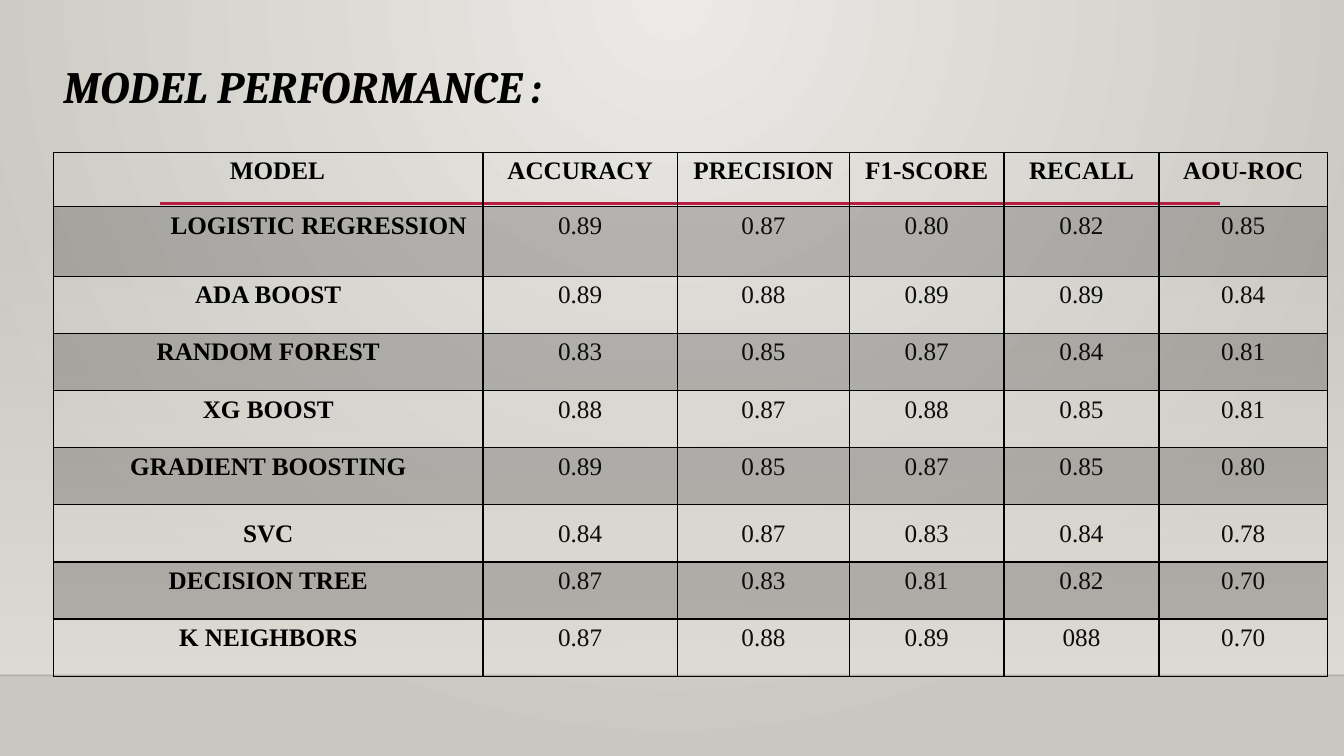
from lxml.etree import SubElement
from pptx import Presentation
from pptx.dml.color import RGBColor
from pptx.enum.shapes import MSO_CONNECTOR, MSO_SHAPE
from pptx.enum.text import MSO_ANCHOR, PP_ALIGN
from pptx.oxml import parse_xml
from pptx.oxml.ns import nsdecls, qn
from pptx.util import Cm, Pt

COLORS = {
    "black": "000000",
    "value": "0D0D0D",
    "accent": "B71E42",
    "floor_line": "000001",
    "glow": "ECEAE7",
    "edge": "CAC7C1",
    "wall": "DFDBD5",
}
FORMATS = {
    "title": {"name": "Cambria", "size": Pt(32), "bold": True, "italic": True},
    "label": {"name": "Times New Roman", "size": Pt(18), "bold": True},
    "value": {"name": "Times New Roman", "size": Pt(18), "bold": False},
}
SVC_CELL = {
    "vertical_anchor": MSO_ANCHOR.MIDDLE,
    "margin_left": Cm(0.03),
    "margin_top": Cm(0.03),
    "margin_right": Cm(0.03),
    "margin_bottom": Cm(0),
}
HEADER = ["MODEL", "ACCURACY", "PRECISION", "F1-SCORE", "RECALL", "AOU-ROC"]
SCORES = [
    ["LOGISTIC REGRESSION", "0.89", "0.87", "0.80", "0.82", "0.85"],
    ["ADA BOOST", "0.89", "0.88", "0.89", "0.89", "0.84"],
    ["RANDOM FOREST", "0.83", "0.85", "0.87", "0.84", "0.81"],
    ["XG BOOST", "0.88", "0.87", "0.88", "0.85", "0.81"],
    ["GRADIENT BOOSTING", "0.89", "0.85", "0.87", "0.85", "0.80"],
    ["SVC", "0.84", "0.87", "0.83", "0.84", "0.78"],
    ["DECISION TREE", "0.87", "0.83", "0.81", "0.82", "0.70"],
    ["K NEIGHBORS", "0.87", "0.88", "0.89", "088", "0.70"],
]
COLUMN_WIDTHS = [10.82, 4.9, 4.34, 3.89, 3.91, 4.24]
ROW_HEIGHTS = [1.37, 1.75] + [1.44] * 7
LABEL_INDENTS = {"MODEL": 0.46, "LOGISTIC REGRESSION": 2.54}


def color(name):
    return RGBColor.from_string(COLORS[name])


def set_attributes(target, values):
    for name, value in values.items():
        setattr(target, name, value)


def add_alpha(solid_fill, percent):
    SubElement(solid_fill[0], qn("a:alpha"), val=str(percent * 1000))


def replace_with_gradient(properties, stops, direction):
    stop_xml = "".join(
        f'<a:gs pos="{position * 1000}"><a:srgbClr val="{COLORS[name]}">'
        f'<a:alpha val="{alpha * 1000}"/></a:srgbClr></a:gs>'
        for position, name, alpha in stops
    )
    gradient = parse_xml(
        f'<a:gradFill {nsdecls("a")} rotWithShape="1">'
        f"<a:gsLst>{stop_xml}</a:gsLst>{direction}</a:gradFill>"
    )
    solid_fill = properties.find(qn("a:solidFill"))
    properties.replace(solid_fill, gradient)


def add_rule(slide, left, top, width, color_name, weight):
    rule = slide.shapes.add_connector(
        MSO_CONNECTOR.STRAIGHT, Cm(left), Cm(top), Cm(left + width), Cm(top)
    )
    rule.line.color.rgb = color(color_name)
    rule.line.width = Pt(weight)
    SubElement(rule._element.spPr, qn("a:effectLst"))
    return rule


def add_backdrop(slide, left, top, width, height):
    slide.background.fill.solid()
    replace_with_gradient(
        slide.element.find(".//" + qn("p:bgPr")),
        [(0, "glow", 100), (100, "edge", 100)],
        '<a:path path="circle"><a:fillToRect l="43000" t="0" r="43000" b="100000"/></a:path>',
    )
    wall = slide.shapes.add_shape(
        MSO_SHAPE.RECTANGLE, Cm(left), Cm(top), Cm(width), Cm(height)
    )
    wall.shadow.inherit = False
    wall.line.fill.background()
    wall.fill.solid()
    replace_with_gradient(
        wall._element.spPr,
        [(0, "wall", 0), (100, "wall", 100)],
        '<a:lin ang="5400000" scaled="0"/>',
    )
    floor_line = add_rule(slide, left, top + height, width, "floor_line", 1)
    add_alpha(floor_line._element.find(".//" + qn("a:solidFill")), 20)
    add_rule(slide, left + 4.04, top - 0.48, 26.7, "accent", 2.5)


def add_title(slide, left, top, width, height):
    title = slide.shapes.add_textbox(Cm(left), Cm(top), Cm(width), Cm(height))
    title.text_frame.word_wrap = True
    paragraph = title.text_frame.paragraphs[0]
    paragraph.line_spacing = 0.9
    run = paragraph.add_run()
    run.text = "MODEL PERFORMANCE :"
    set_attributes(run.font, FORMATS["title"])
    run.font.color.rgb = color("black")


def format_cell(cell, text, style, color_name, shaded):
    paragraph = cell.text_frame.paragraphs[0]
    paragraph.alignment = PP_ALIGN.CENTER
    run = paragraph.add_run()
    run.text = text
    set_attributes(run.font, FORMATS[style])
    run.font.color.rgb = color(color_name)
    if text in LABEL_INDENTS:
        paragraph._p.get_or_add_pPr().set("marL", str(Cm(LABEL_INDENTS[text])))
    properties = cell._tc.get_or_add_tcPr()
    if shaded:
        cell.fill.solid()
        cell.fill.fore_color.rgb = color("black")
        add_alpha(properties.find(qn("a:solidFill")), 20)
    else:
        cell.fill.background()
    for index, side in enumerate("LRTB"):
        border = parse_xml(
            f'<a:ln{side} {nsdecls("a")} w="{Pt(1)}"><a:solidFill>'
            f'<a:srgbClr val="{COLORS["black"]}"/></a:solidFill></a:ln{side}>'
        )
        properties.insert(index, border)


def add_score_table(slide, left, top, width, height):
    rows = [HEADER] + SCORES
    table = slide.shapes.add_table(
        len(rows), len(HEADER), Cm(left), Cm(top), Cm(width), Cm(height)
    ).table
    set_attributes(table, {"first_row": False, "horz_banding": False})
    for column, column_width in zip(table.columns, COLUMN_WIDTHS):
        column.width = Cm(column_width)
    for row_index, (row, texts) in enumerate(zip(table.rows, rows)):
        row.height = Cm(ROW_HEIGHTS[row_index])
        for column_index, (cell, text) in enumerate(zip(row.cells, texts)):
            is_label = row_index == 0 or column_index == 0
            style, color_name = ("label", "black") if is_label else ("value", "value")
            format_cell(cell, text, style, color_name, row_index % 2 == 1)
            if texts[0] == "SVC":
                set_attributes(cell, SVC_CELL)


def main():
    presentation = Presentation()
    set_attributes(presentation, {"slide_width": Cm(33.87), "slide_height": Cm(19.05)})
    slide = presentation.slides.add_slide(presentation.slide_layouts[6])
    add_backdrop(slide, 0, 5.61, 33.87, 11.41)
    add_title(slide, 1.35, 1.5, 26.67, 2.95)
    add_score_table(slide, 1.35, 3.84, sum(COLUMN_WIDTHS), sum(ROW_HEIGHTS))
    presentation.save("out.pptx")


if __name__ == "__main__":
    main()
